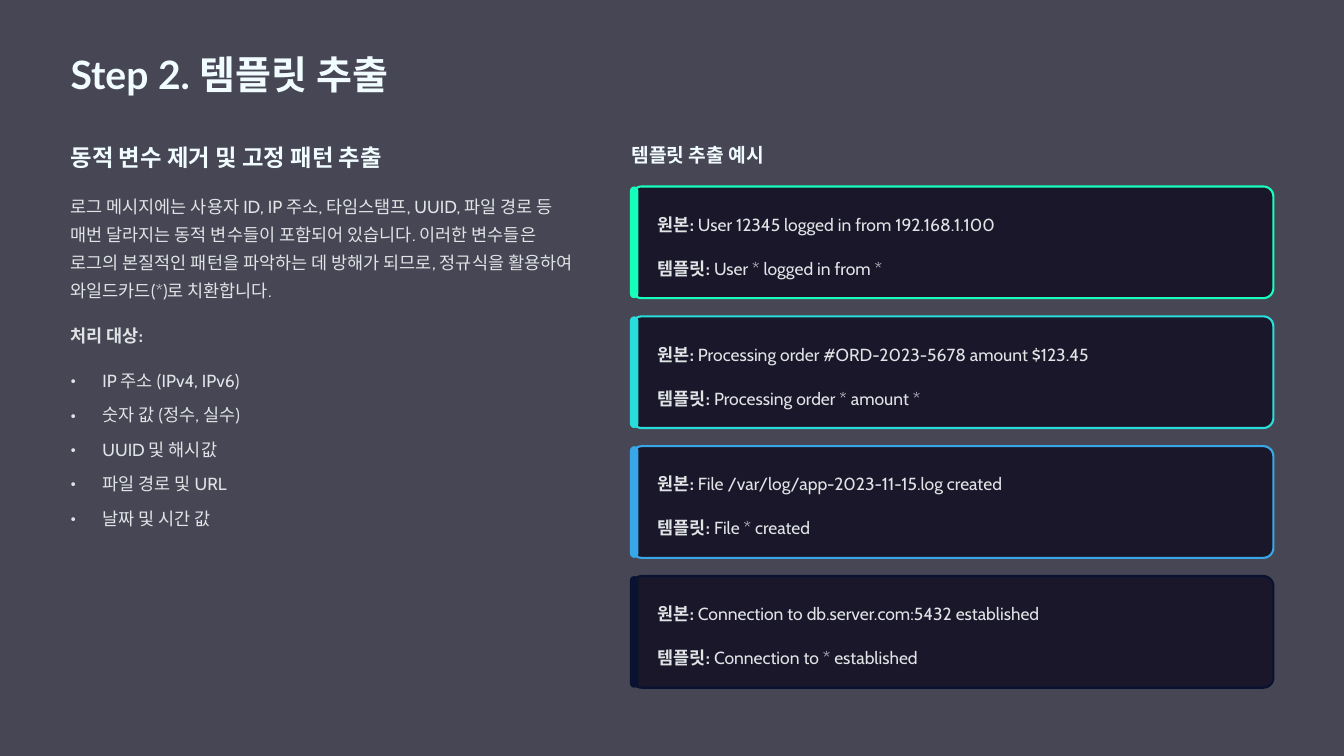
from lxml.etree import SubElement
from pptx import Presentation
from pptx.dml.color import RGBColor
from pptx.enum.shapes import MSO_SHAPE
from pptx.oxml.ns import qn
from pptx.util import Inches, Pt

BACKDROP = RGBColor(0x47, 0x46, 0x54)
NIGHT = RGBColor(0x0A, 0x08, 0x1B)
ICE = RGBColor(0xF0, 0xFC, 0xFF)
MIST = RGBColor(0xE0, 0xE4, 0xE6)
MINT = RGBColor(0x16, 0xFF, 0xBB)
TURQUOISE = RGBColor(0x29, 0xDD, 0xDA)
SKY = RGBColor(0x37, 0xA7, 0xE7)
NAVY = RGBColor(0x09, 0x12, 0x31)

LEFT, RIGHT = 0.84, 7.52
COLUMN = 6.16
CARD_TOP, CARD_PITCH = 2.22, 1.546
CARD_WIDTH, CARD_HEIGHT = 7.64, 1.33

TITLE = {"name": "Lato", "size": Pt(33.5), "bold": True, "color": ICE, "leading": 42}
HEADING = TITLE | {"size": Pt(20), "leading": 25}
EXAMPLES = TITLE | {"size": Pt(16.5), "leading": 21}
BODY = {"name": "Cabin", "size": Pt(15), "bold": False, "color": MIST, "leading": 24}
LABEL = BODY | {"bold": True}

deck = Presentation()
deck.slide_width, deck.slide_height = Inches(16), Inches(9)
page = deck.slides.add_slide(deck.slide_layouts[6])
page.background.fill.solid()
page.background.fill.fore_color.rgb = BACKDROP


def add_text(left, top, width, height, lines, gap=0, bullet=None):
    box = page.shapes.add_textbox(Inches(left), Inches(top), Inches(width), Inches(height))
    frame = box.text_frame
    frame.word_wrap = True
    for side in ("left", "top", "right", "bottom"):
        setattr(frame, f"margin_{side}", 0)
    for index, line in enumerate(lines):
        para = frame.paragraphs[0] if index == 0 else frame.add_paragraph()
        para.line_spacing = Pt(line[0][1]["leading"])
        if index:
            para.space_before = Pt(gap)
        if bullet:
            props = para._p.get_or_add_pPr()
            props.set("marL", str(Inches(0.38)))
            props.set("indent", str(-Inches(0.38)))
            SubElement(props, qn("a:buFont")).set("typeface", BODY["name"])
            SubElement(props, qn("a:buChar")).set("char", bullet)
        for words, style in line:
            span = para.add_run()
            span.text = words
            for key in ("name", "size", "bold"):
                setattr(span.font, key, style[key])
            span.font.color.rgb = style["color"]


def add_panel(left, top, width, height, roundness, color):
    panel = page.shapes.add_shape(
        MSO_SHAPE.ROUNDED_RECTANGLE, Inches(left), Inches(top), Inches(width), Inches(height))
    panel.adjustments[0] = roundness
    panel.shadow.inherit = False
    panel.fill.solid()
    panel.fill.fore_color.rgb = color
    panel.line.fill.background()
    return panel


add_text(LEFT, 0.58, COLUMN, 0.59, [[("Step 2. 템플릿 추출", TITLE)]])
add_text(LEFT, 1.69, COLUMN, 0.35, [[("동적 변수 제거 및 고정 패턴 추출", HEADING)]])
add_text(LEFT, 2.25, COLUMN, 1.35, [[(
    "로그 메시지에는 사용자 ID, IP 주소, 타임스탬프, UUID, 파일 경로 등 매번 달라지는 "
    "동적 변수들이 포함되어 있습니다. 이러한 변수들은 로그의 본질적인 패턴을 파악하는 데 "
    "방해가 되므로, 정규식을 활용하여 와일드카드(*)로 치환합니다.", BODY)]])
add_text(LEFT, 3.79, COLUMN, 0.34, [[("처리 대상:", LABEL)]])

targets = ["IP 주소 (IPv4, IPv6)", "숫자 값 (정수, 실수)", "UUID 및 해시값",
           "파일 경로 및 URL", "날짜 및 시간 값"]
add_text(LEFT, 4.32, COLUMN, 1.98, [[(target, BODY)] for target in targets],
         gap=5.5, bullet="•")

add_text(RIGHT, 1.69, COLUMN, 0.29, [[("템플릿 추출 예시", EXAMPLES)]])

cards = [
    (MINT, "User 12345 logged in from 192.168.1.100", "User * logged in from *"),
    (TURQUOISE, "Processing order #ORD-2023-5678 amount $123.45", "Processing order * amount *"),
    (SKY, "File /var/log/app-2023-11-15.log created", "File * created"),
    (NAVY, "Connection to db.server.com:5432 established", "Connection to * established"),
]
for row, (accent, message, template) in enumerate(cards):
    top = CARD_TOP + row * CARD_PITCH
    card = add_panel(RIGHT, top, CARD_WIDTH, CARD_HEIGHT, 0.09, NIGHT)
    tint = card.fill._xPr.find(qn("a:solidFill"))[0]
    SubElement(tint, qn("a:alpha")).set("val", "75000")
    card.line.color.rgb = accent
    card.line.width = Pt(1.8)
    add_panel(RIGHT - 0.02, top, 0.1, CARD_HEIGHT, 0.5, accent)
    add_text(RIGHT + 0.31, top + 0.24, 7.1, 0.86, [
        [("원본:", LABEL), (f" {message}", BODY)],
        [("템플릿:", LABEL), (f" {template}", BODY)],
    ], gap=13.8)

deck.save("out.pptx")
